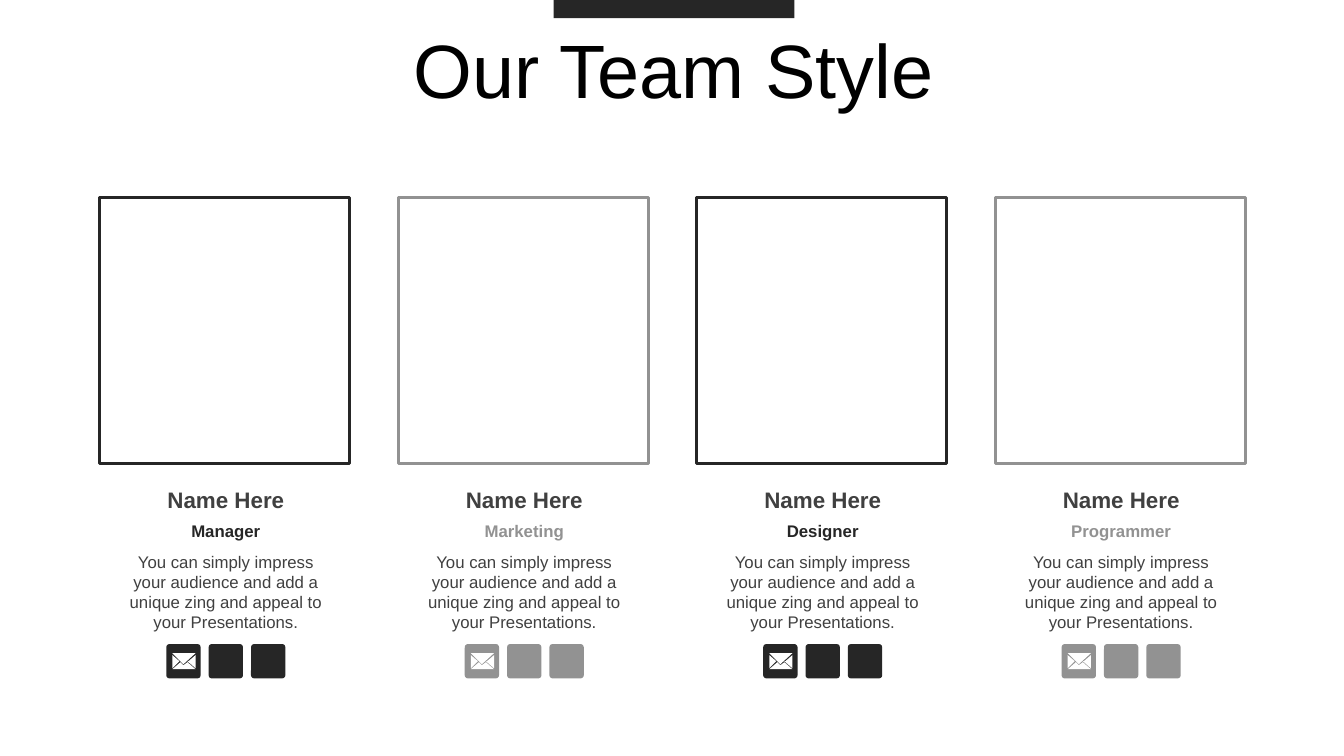
from pptx import Presentation
from pptx import util as u
from pptx.dml.color import RGBColor
from pptx.enum import shapes, text

PX = 9144  # EMU per px, 100 px to the inch
DARK, GREY, BODY, WHITE = "262626", "929292", "404040", "FFFFFF"
ROLES = ["Manager", "Marketing", "Designer", "Programmer"]
PITCH = 296
BLURB = ("You can simply impress your audience and add a unique zing "
         "and appeal to your Presentations.")
MAIL = [
    [(6, 9), (17, 20), (29, 9)],
    [(6, 11), (6, 24), (13, 17)],
    [(29, 11), (22, 17), (21, 17), (29, 24)],
    [(21, 18), (17, 21), (14, 18), (6, 25), (29, 25)],
]


def px(*vals):
    return [u.Emu(v * PX) for v in vals]


def paint(obj, color):
    """Give a fill or a font a solid colour."""
    if hasattr(obj, "solid"):
        obj.solid()
        obj.fore_color.rgb = RGBColor.from_string(color)
    else:
        obj.color.rgb = RGBColor.from_string(color)


def block(slide, box, color, kind=shapes.MSO_SHAPE.RECTANGLE):
    shape = slide.shapes.add_shape(kind, *px(*box))
    shape.shadow.inherit = False
    paint(shape.fill, color)
    shape.line.fill.background()
    return shape


def frame(slide, box, color):
    shape = slide.shapes.add_shape(shapes.MSO_SHAPE.RECTANGLE, *px(*box))
    shape.shadow.inherit = False
    shape.fill.background()
    paint(shape.line.fill, color)
    shape.line.width = u.Pt(2)


def label(slide, box, words, size, color, bold=False,
          anchor=text.MSO_ANCHOR.MIDDLE):
    tf = slide.shapes.add_textbox(*px(*box)).text_frame
    tf.word_wrap = True
    tf.vertical_anchor = anchor
    tf.text = words
    para = tf.paragraphs[0]
    para.alignment = text.PP_ALIGN.CENTER
    font = para.runs[0].font
    font.name, font.size, font.bold = "Arial", u.Pt(size), bold
    paint(font, color)
    return para


def tile(slide, left, top, color):
    shape = block(slide, (left, top, 34, 34), color,
                  shapes.MSO_SHAPE.ROUNDED_RECTANGLE)
    shape.adjustments[0] = 0.09


def mail(slide, left, top):
    """Draw a white envelope inside a tile."""
    first, *rest = [[(left + x, top + y) for x, y in part] for part in MAIL]
    build = slide.shapes.build_freeform(*first[0], scale=PX)
    build.add_line_segments(first[1:])
    for part in rest:
        build.move_to(*part[0])
        build.add_line_segments(part[1:])
    shape = build.convert_to_shape()
    shape.shadow.inherit = False
    paint(shape.fill, WHITE)
    shape.line.fill.background()


def member(slide, shift, role, color):
    frame(slide, (99 + shift, 196, 248, 264), color)
    left = 110 + shift
    label(slide, (left, 478, 228, 35), "Name Here", 16, BODY, True)
    label(slide, (left, 513, 228, 28), role, 12, color, True)
    label(slide, (left, 542, 228, 91), BLURB, 12, BODY,
          anchor=text.MSO_ANCHOR.TOP)
    for i in range(3):
        tile(slide, 165 + shift + 42 * i, 639, color)
    mail(slide, 165 + shift, 639)


def main():
    deck = Presentation()
    deck.slide_width, deck.slide_height = px(1333, 750)
    slide = deck.slides.add_slide(deck.slide_layouts[6])
    block(slide, (549, 0, 239, 18), DARK)
    title = label(slide, (35, 34, 1266, 79), "Our Team Style", 54, "000000")
    title.line_spacing = 0.9
    for i, role in enumerate(ROLES):
        member(slide, PITCH * i, role, (DARK, GREY)[i % 2])
    deck.save("out.pptx")


if __name__ == "__main__":
    main()
